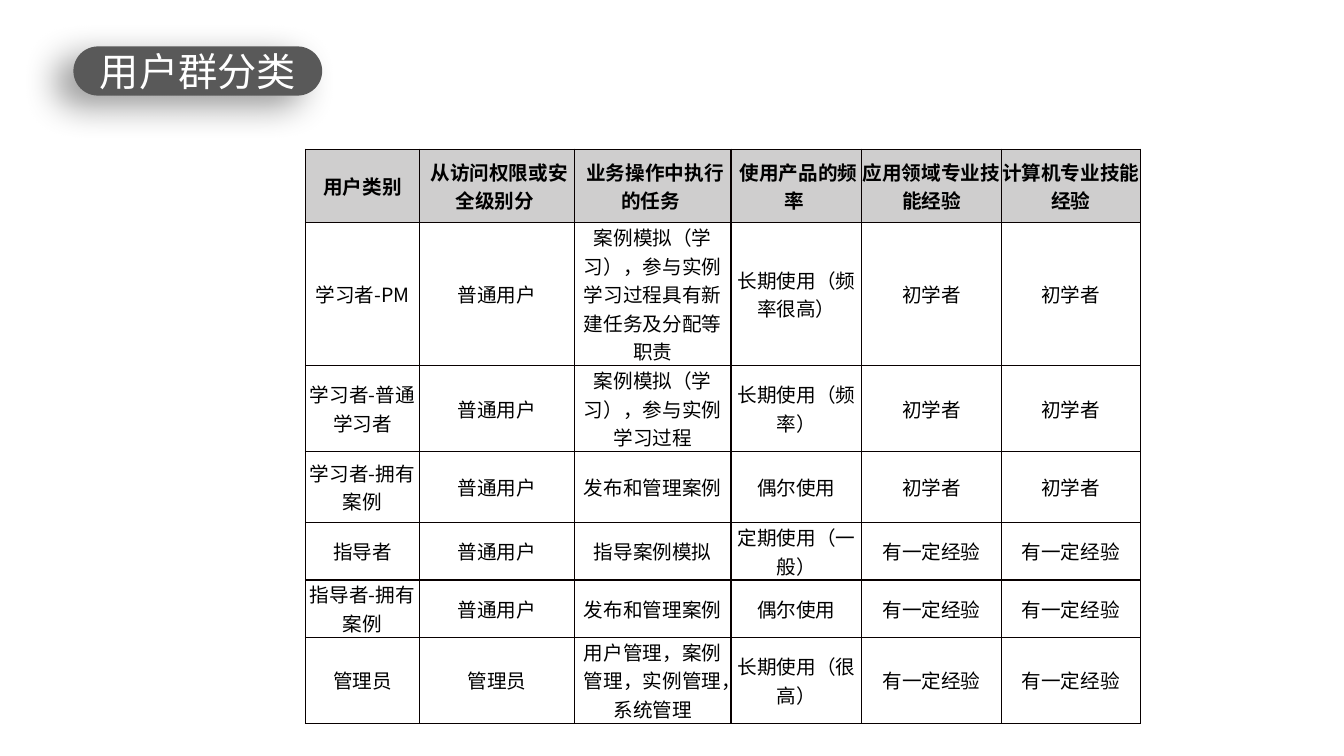
"""Build the user group classification slide."""
from lxml import etree
from pptx import Presentation
from pptx.dml.color import RGBColor
from pptx.enum.shapes import MSO_SHAPE
from pptx.enum.text import MSO_ANCHOR, PP_ALIGN
from pptx.oxml import parse_xml
from pptx.oxml.ns import nsdecls, qn
from pptx.util import Cm, Pt

TITLE = "用户群分类"
HEADINGS = ("用户类别", " 从访问权限或安全级别分 ", " 业务操作中执行的任务 ",
            " 使用产品的频率 ", "应用领域专业技能经验", "计算机专业技能经验")
USER_GROUPS = [
    ("学习者-PM", "普通用户", "案例模拟（学习），参与实例学习过程具有新建任务及分配等职责",
     "长期使用（频率很高）", "初学者", "初学者"),
    ("学习者-普通学习者", "普通用户", "案例模拟（学习），参与实例学习过程",
     "长期使用（频率）", "初学者", "初学者"),
    ("学习者-拥有案例", "普通用户", "发布和管理案例", "偶尔使用", "初学者", "初学者"),
    ("指导者", "普通用户", "指导案例模拟", "定期使用（一般）", "有一定经验", "有一定经验"),
    ("指导者-拥有案例", "普通用户", "发布和管理案例", "偶尔使用", "有一定经验", "有一定经验"),
    ("管理员", "管理员", "用户管理，案例管理，实例管理，系统管理",
     "长期使用（很高）", "有一定经验", "有一定经验"),
]
COLUMN_WIDTHS = (2.87, 3.91, 3.94, 3.3, 3.51, 3.51)
ROW_HEIGHTS = (1.85, 2.54, 1.8, 1.8, 1.42, 1.45, 1.8)

WHITE = RGBColor(0xFF, 0xFF, 0xFF)
BLACK = RGBColor(0, 0, 0)
DARK_GREY = RGBColor(0x59, 0x59, 0x59)
HEADING_GREY = RGBColor(0xCF, 0xCE, 0xCE)
BORDER = RGBColor(0x08, 0, 0)
CENTER, MIDDLE = PP_ALIGN.CENTER, MSO_ANCHOR.MIDDLE


def style_text(paragraph, font_name, size, color, bold=False):
    paragraph.alignment = CENTER
    font = paragraph.font
    font.name, font.size, font.bold = font_name, Pt(size), bold
    font.color.rgb = color


def add_borders(cell):
    properties = cell._tc.get_or_add_tcPr()
    for side in ("lnL", "lnR", "lnT", "lnB"):
        line = etree.SubElement(properties, qn(f"a:{side}"), w=str(Pt(1)))
        fill = etree.SubElement(line, qn("a:solidFill"))
        etree.SubElement(fill, qn("a:srgbClr"), val=str(BORDER))


def add_title(slide):
    title = slide.shapes.add_shape(MSO_SHAPE.ROUNDED_RECTANGLE,
                                   Cm(1.85), Cm(1.17), Cm(6.27), Cm(1.24))
    title.adjustments[0] = 0.5
    title.fill.solid()
    title.fill.fore_color.rgb = DARK_GREY
    title.line.fill.background()
    title.shadow.inherit = False
    effects = title._element.spPr.find(qn("a:effectLst"))
    effects.append(parse_xml(
        f'<a:outerShdw {nsdecls("a")} blurRad="{Pt(25)}" dist="{Pt(15)}" '
        f'dir="{150 * 60000}" algn="tr" rotWithShape="0">'
        '<a:srgbClr val="000000"><a:alpha val="40000"/></a:srgbClr></a:outerShdw>'))
    title.text_frame.text = TITLE
    title.text_frame.vertical_anchor = MIDDLE
    style_text(title.text_frame.paragraphs[0], "Calibri", 28, WHITE)


def add_user_table(slide):
    rows = [HEADINGS, *USER_GROUPS]
    table = slide.shapes.add_table(
        len(rows), len(HEADINGS), Cm(7.7), Cm(3.76),
        Cm(sum(COLUMN_WIDTHS)), Cm(sum(ROW_HEIGHTS))).table
    table.first_row = table.horz_banding = False
    for column, width in zip(table.columns, COLUMN_WIDTHS):
        column.width = Cm(width)
    for row, height in zip(table.rows, ROW_HEIGHTS):
        row.height = Cm(height)
    for r, texts in enumerate(rows):
        heading = r == 0
        for c, text in enumerate(texts):
            cell = table.cell(r, c)
            cell.text = text
            cell.vertical_anchor = MIDDLE
            cell.margin_left = cell.margin_right = 0
            cell.margin_top = cell.margin_bottom = 0
            add_borders(cell)
            if heading:
                cell.fill.solid()
                cell.fill.fore_color.rgb = HEADING_GREY
            else:
                cell.fill.background()
            style_text(cell.text_frame.paragraphs[0],
                       "Times New Roman" if heading else "Noto Sans CJK SC",
                       14, BLACK, heading)


def main():
    presentation = Presentation()
    presentation.slide_width, presentation.slide_height = Cm(33.87), Cm(19.05)
    slide = presentation.slides.add_slide(presentation.slide_layouts[6])
    add_title(slide)
    add_user_table(slide)
    presentation.save("out.pptx")


if __name__ == "__main__":
    main()
